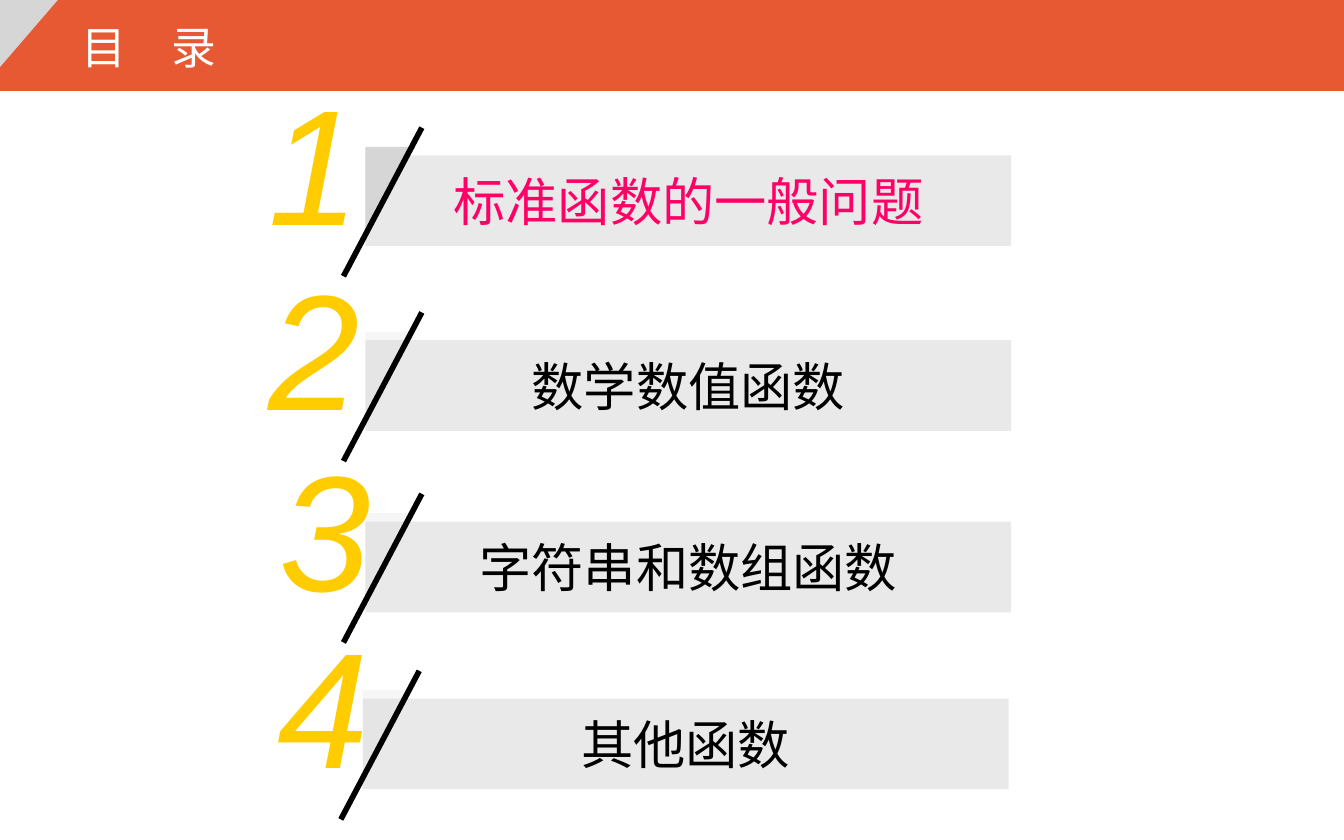
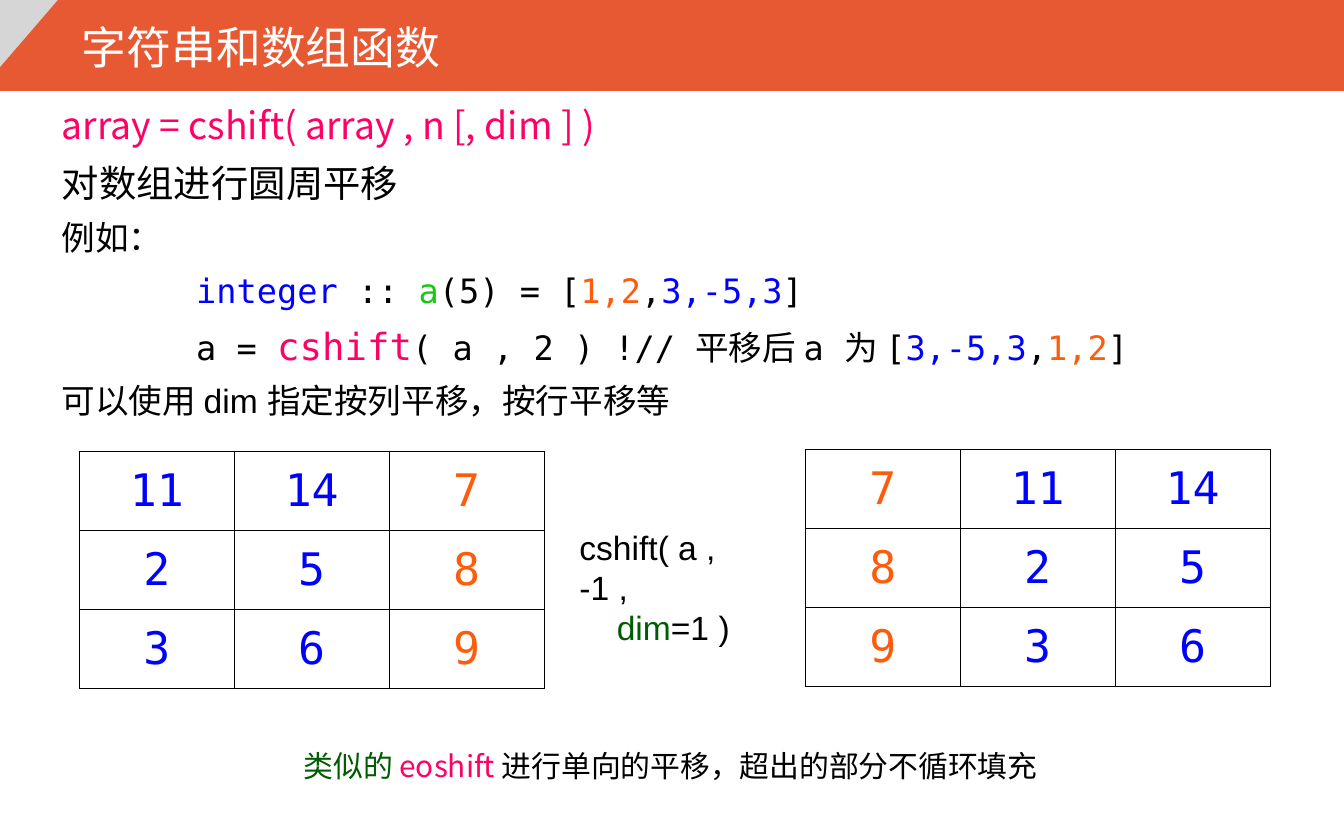
from dataclasses import dataclass
from typing import Optional

from pptx import Presentation
from pptx.dml.color import RGBColor
from pptx.enum import shapes, text
from pptx.oxml import ns, xmlchemy
from pptx.util import Pt

ORANGE = RGBColor(0xE7, 0x59, 0x33)
SILVER = RGBColor(0xD6, 0xD6, 0xD6)
GREY = RGBColor(0x94, 0x94, 0x94)
GOLD = RGBColor(0xFF, 0xCC, 0x00)
PINK = RGBColor(0xFF, 0x00, 0x66)
BLACK = RGBColor(0, 0, 0)
WHITE = RGBColor(0xFF, 0xFF, 0xFF)
BLUE = RGBColor(0, 0, 0xFF)
LIME = RGBColor(0x17, 0xC9, 0x13)
GREEN = RGBColor(0, 0x5C, 0)
AMBER = RGBColor(0xFD, 0x5C, 0x0C)

SANS = "Arial"
MONO = "DejaVu Sans Mono"
NOTO = "Noto Sans CJK SC"

WIDTH, HEIGHT = 720, 450
RECT = shapes.MSO_SHAPE.RECTANGLE
WEDGE = shapes.MSO_SHAPE.RIGHT_TRIANGLE
LEFT, MID = text.PP_ALIGN.LEFT, text.PP_ALIGN.CENTER


@dataclass
class Box:
    x: float
    y: float
    w: float
    h: float

    def pts(self) -> tuple:
        return Pt(self.x), Pt(self.y), Pt(self.w), Pt(self.h)


@dataclass
class Run:
    words: str
    color: Optional[RGBColor] = None
    size: Optional[float] = None


@dataclass
class Para:
    runs: list
    size: float
    face: str
    color: RGBColor = BLACK
    align: text.PP_ALIGN = LEFT
    lead: Optional[float] = None
    indent: float = 0
    slant: bool = False


@dataclass
class Item:
    num: str
    label: str
    left: float  # of the number
    bar: float
    top: float
    face: str
    color: RGBColor = BLACK
    alpha: Optional[int] = 20  # of the wedge


@dataclass
class Grid:
    box: Box
    rows: list


# Text
def style(font, color: Optional[RGBColor], size: Optional[float]) -> None:
    if color is not None:
        font.color.rgb = color
    if size is not None:
        font.size = Pt(size)


def write(frame, paras: list) -> None:
    for i, para in enumerate(paras):
        p = frame.add_paragraph() if i else frame.paragraphs[0]
        p.alignment = para.align
        if para.lead:
            p.line_spacing = para.lead
        if para.indent:
            p._p.get_or_add_pPr().set("marL", str(Pt(para.indent)))
        p.font.name = para.face
        style(p.font, para.color, para.size)
        if para.slant:
            p.font.italic = True
        for part in para.runs:
            run = p.add_run()
            run.text = part.words
            style(run.font, part.color, part.size)


def note(parent, box: Box, paras: list, wrap: bool = True) -> None:
    frame = parent.add_textbox(*box.pts()).text_frame
    frame.word_wrap = wrap
    write(frame, paras)


# Shapes
def child(parent, tag: str, **attrs: str):
    node = xmlchemy.OxmlElement(tag)
    for key, val in attrs.items():
        node.set(key, val)
    parent.append(node)
    return node


def block(parent, kind, box: Box, color: RGBColor, alpha: Optional[int] = None):
    shape = parent.add_shape(kind, *box.pts())
    shape.shadow.inherit = False
    shape.fill.solid()
    shape.fill.fore_color.rgb = color
    shape.line.fill.background()
    if alpha is not None:
        tone = shape._element.spPr.find(".//" + ns.qn("a:srgbClr"))
        child(tone, "a:alpha", val=str(alpha * 1000))
    if kind == WEDGE:
        shape._element.spPr.xfrm.set("flipV", "1")
    return shape


def slash(parent, x1: float, y1: float, x2: float, y2: float) -> None:
    line = parent.add_connector(shapes.MSO_CONNECTOR.STRAIGHT,
                                Pt(x1), Pt(y1), Pt(x2), Pt(y2))
    line.line.color.rgb = BLACK
    line.line.width = Pt(3)
    child(line._element.spPr, "a:effectLst")


# Shared header: band, corner and title
def start(deck, title: str, face: str, width: float):
    slide = deck.slides.add_slide(deck.slide_layouts[5])
    block(slide.shapes, RECT, Box(0, 0, WIDTH, 48.7), ORANGE)
    block(slide.shapes, WEDGE, Box(0, 0, 31, 36), SILVER)
    head = slide.shapes.title
    head.left, head.top, head.width, head.height = Box(36.7, 7.2, width, 36).pts()
    frame = head.text_frame
    frame.word_wrap = True
    frame.auto_size = text.MSO_AUTO_SIZE.NONE
    frame.vertical_anchor = text.MSO_ANCHOR.TOP
    write(frame, [Para([Run(title)], 24, face, WHITE)])
    slide.shapes._spTree.append(head._element)  # above the band
    return slide


# Agenda entry: number, bar, wedge and slash
def entry(slide, item: Item) -> None:
    group = slide.shapes.add_group_shape().shapes
    x, y = item.bar, item.top
    note(group, Box(item.left, y - 53.8, 63.4, 113),
         [Para([Run(item.num)], 88, SANS, GOLD, slant=True)], wrap=False)
    bar = block(group, RECT, Box(x, y, 346, 48.6), GREY, 20)
    bar.text_frame.word_wrap = True
    bar.text_frame.vertical_anchor = text.MSO_ANCHOR.MIDDLE
    write(bar.text_frame,
          [Para([Run(item.label)], 28, item.face, item.color, MID)])
    block(group, WEDGE, Box(x, y - 4.4, 26.6, 47.8), SILVER, item.alpha)
    slash(group, x + 30.2, y - 14.8, x - 11.8, y + 64.8)


# Matrix with thin black borders
def matrix(slide, grid: Grid) -> None:
    rows, cols = len(grid.rows), len(grid.rows[0])
    table = slide.shapes.add_table(rows, cols, *grid.box.pts()).table
    table.first_row = table.horz_banding = False
    for r, row in enumerate(grid.rows):
        for c, value in enumerate(row):
            cell = table.cell(r, c)
            cell.vertical_anchor = text.MSO_ANCHOR.MIDDLE
            tint = AMBER if value in (7, 8, 9) else BLUE
            write(cell.text_frame,
                  [Para([Run(str(value))], 24, MONO, tint, MID)])
            props = cell._tc.get_or_add_tcPr()
            for side in "LRTB":
                edge = child(props, "a:ln" + side, w=str(Pt(0.45)))
                child(child(edge, "a:solidFill"), "a:srgbClr", val=str(BLACK))
            cell.fill.background()


ITEMS = [
    Item("1", "标准函数的一般问题", 136.8, 195.8, 83.2, MONO, PINK, None),
    Item("2", "数学数值函数", 136.8, 195.8, 182.2, MONO),
    Item("3", "字符串和数组函数", 142.6, 195.8, 279.4, SANS),
    Item("4", "其他函数", 141.8, 194.4, 374.2, SANS),
]

LEAD = 1.3
BODY = [
    Para([Run("array = cshift( array , n [, dim ] )")], 20, NOTO, PINK, lead=LEAD),
    Para([Run("对数组进行圆周平移")], 20, NOTO, lead=LEAD),
    Para([Run("例如：")], 18, SANS, lead=LEAD),
    Para([Run("integer ", BLUE), Run(":: "), Run("a", LIME), Run("(5) = ["),
          Run("1,2", AMBER), Run(","), Run("3,-5,3", BLUE), Run("]")],
         18, MONO, lead=LEAD, indent=72),
    Para([Run("a = "), Run("cshift", PINK, 20),
          Run("( a , 2 ) !// 平移后 a 为 ["), Run("3,-5,3", BLUE), Run(","),
          Run("1,2", AMBER), Run("]")],
         18, MONO, lead=LEAD, indent=72),
    Para([Run("可以使用 dim 指定按列平移，按行平移等")], 18, SANS, lead=LEAD),
]
CALL = [
    Para([Run("cshift( a , -1 ,")], 18, SANS),
    Para([Run("dim", GREEN), Run("=1 )")], 18, SANS, indent=20),
]
HINT = [Para([Run("类似的 ", GREEN), Run("eoshift ", PINK),
              Run("进行单向的平移，超出的部分不循环填充")], 16, NOTO, lead=1.4)]

GRIDS = [
    Grid(Box(42.5, 241.8, 249, 127), [(11, 14, 7), (2, 5, 8), (3, 6, 9)]),
    Grid(Box(431.4, 240.8, 249, 127), [(7, 11, 14), (8, 2, 5), (9, 3, 6)]),
]


def main() -> None:
    deck = Presentation()
    deck.slide_width, deck.slide_height = Pt(WIDTH), Pt(HEIGHT)

    # Contents
    slide = start(deck, "目　录", MONO, 244)
    for item in ITEMS:
        entry(slide, item)

    # Circular shift
    slide = start(deck, "字符串和数组函数", SANS, 301)
    note(slide.shapes, Box(26, 44, 694, 185), BODY)
    for grid in GRIDS:
        matrix(slide, grid)
    note(slide.shapes, Box(303.3, 278.6, 118, 50.4), CALL, wrap=False)
    note(slide.shapes, Box(155.5, 389.5, 459.4, 34.6), HINT)

    deck.save("out.pptx")


if __name__ == "__main__":
    main()
